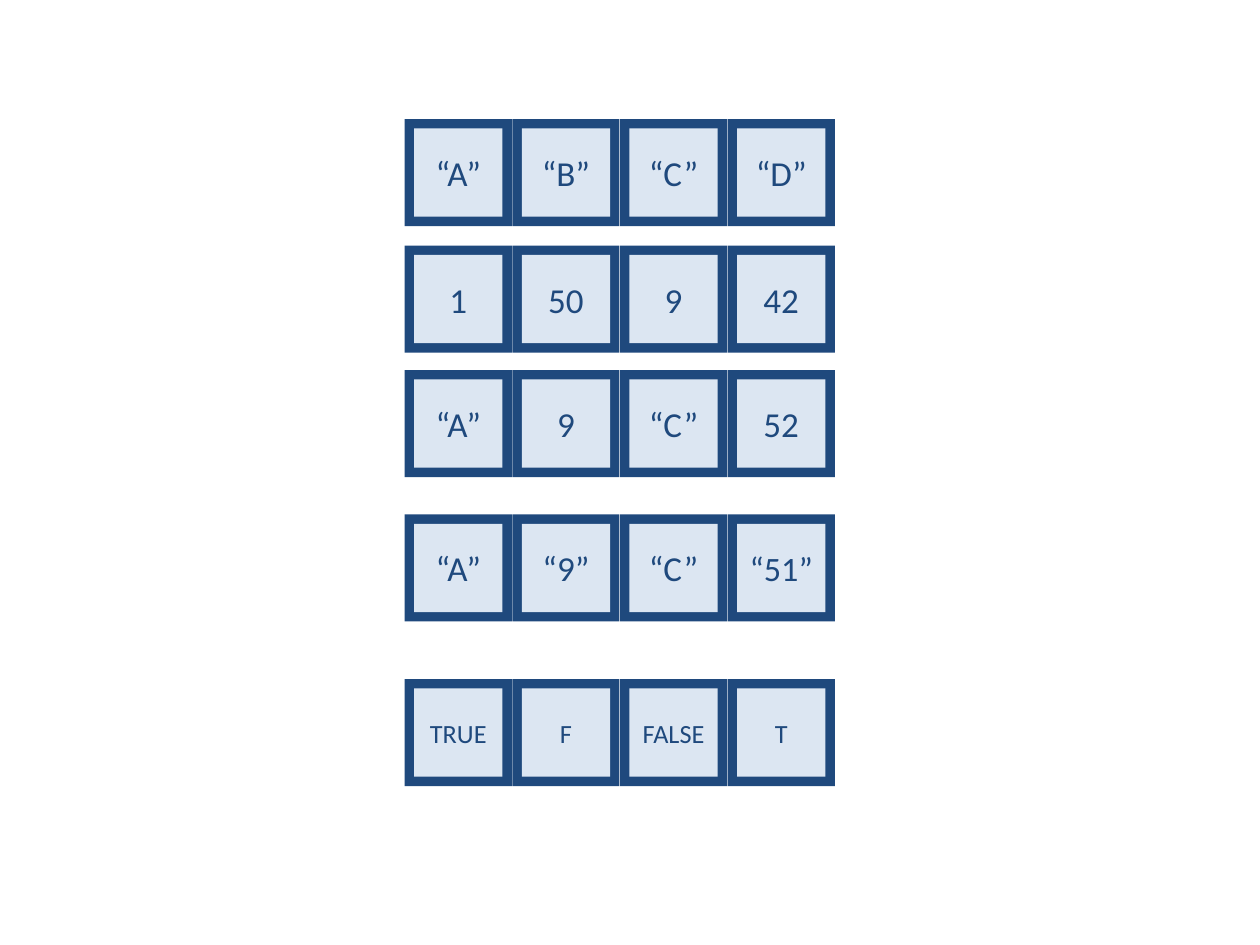
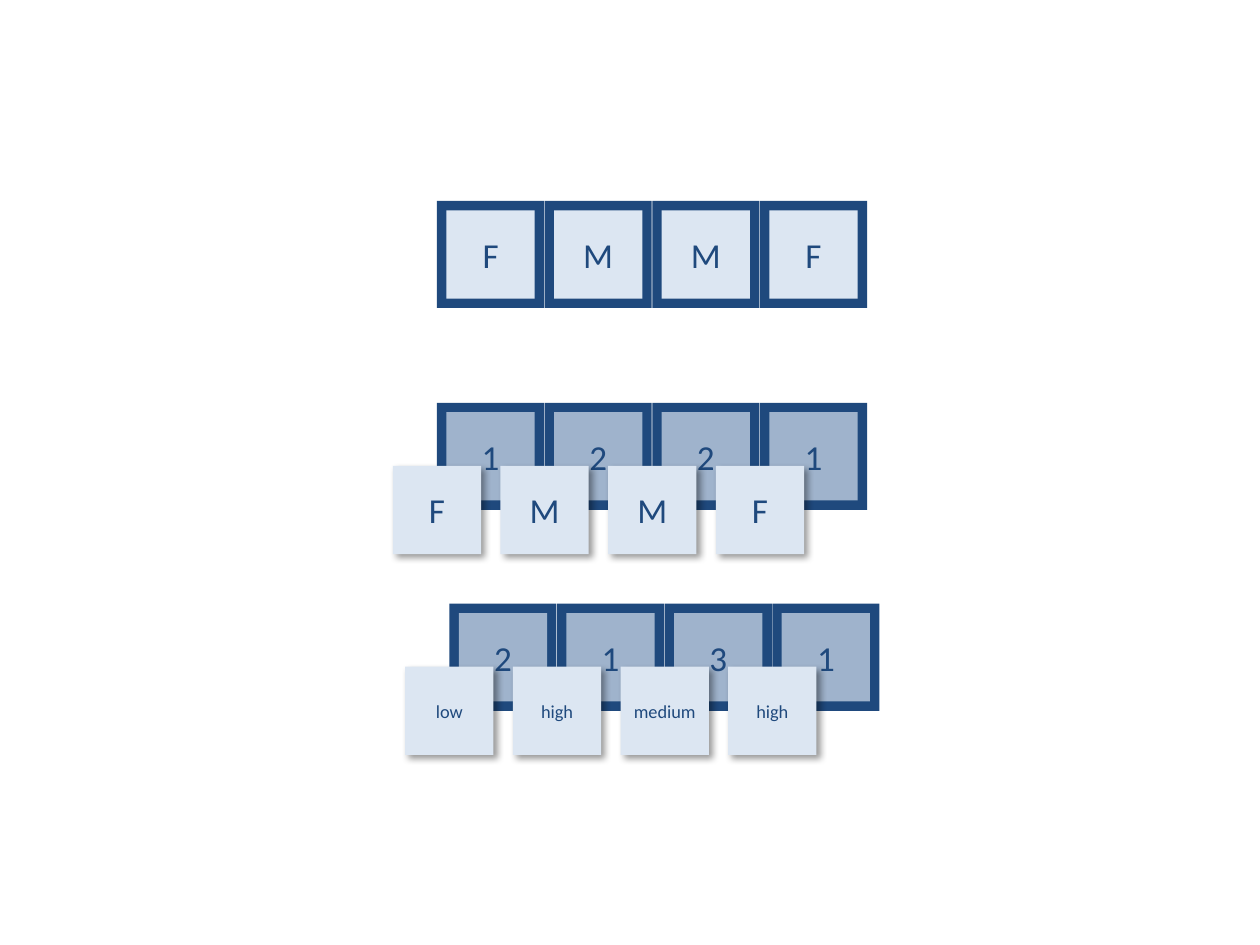
from dataclasses import dataclass

import pptx
import pptx.dml.color
import pptx.enum.shapes
import pptx.enum.text
import pptx.oxml
import pptx.oxml.ns
import pptx.util
from pptx.util import Cm


@dataclass(frozen=True)
class Theme:
    navy: str = "1F497D"
    pale: str = "DCE6F2"
    font: str = "Calibri"
    value_size: float = 20
    long_value_size: float = 19.5  # values of four or more characters
    logical_size: float = 15
    level_size: float = 10.5
    code_opacity: int = 68  # percent


THEME = Theme()

# Geometry of a vector, in centimetres
PITCH = 2.17
FRAME = 2.16
TILE = 1.78
INSET = (FRAME - TILE) / 2
LABEL_DX, LABEL_DY = -0.89, 1.27


def rgb(value):
    return pptx.dml.color.RGBColor.from_string(value)


def add_square(group, x, y, side, color):
    s = group.shapes.add_shape(pptx.enum.shapes.MSO_SHAPE.RECTANGLE,
                               Cm(x), Cm(y), Cm(side), Cm(side))
    s.shadow.inherit = False
    s.fill.solid()
    s.fill.fore_color.rgb = rgb(color)
    s.line.fill.background()
    return s


def add_tile(group, x, y, text, size):
    """A pale square with one centred value."""
    s = add_square(group, x, y, TILE, THEME.pale)
    tf = s.text_frame
    frame_format = {
        "margin_left": 0, "margin_right": 0, "margin_top": 0, "margin_bottom": 0,
        "word_wrap": False,
        "vertical_anchor": pptx.enum.text.MSO_ANCHOR.MIDDLE,
    }
    for name, value in frame_format.items():
        setattr(tf, name, value)
    p = tf.paragraphs[0]
    p.alignment = pptx.enum.text.PP_ALIGN.CENTER
    r = p.add_run()
    r.text = text
    for name, value in {"name": THEME.font, "size": pptx.util.Pt(size)}.items():
        setattr(r.font, name, value)
    r.font.color.rgb = rgb(THEME.navy)
    return s


def make_translucent(s, percent):
    color = s.fill._xPr.find(".//" + pptx.oxml.ns.qn("a:srgbClr"))
    color.append(pptx.oxml.parse_xml(
        f'<a:alpha {pptx.oxml.ns.nsdecls("a")} val="{percent * 1000}"/>'))


def add_drop_shadow(s):
    effects = s._element.spPr.find(pptx.oxml.ns.qn("a:effectLst"))
    effects.append(pptx.oxml.parse_xml(
        f'<a:outerShdw {pptx.oxml.ns.nsdecls("a")} blurRad="{pptx.util.Pt(4)}" '
        f'dist="{pptx.util.Pt(3)}" dir="2700000" algn="tl" rotWithShape="0">'
        '<a:srgbClr val="000000"><a:alpha val="40000"/></a:srgbClr></a:outerShdw>'))


def add_vector(slide, x, y, values, size=THEME.value_size, opacity=100):
    """A row of framed values."""
    group = slide.shapes.add_group_shape()
    for i, value in enumerate(values):
        left = x + i * PITCH
        add_square(group, left, y, FRAME, THEME.navy)
        is_long = size == THEME.value_size and len(value) > 3
        tile = add_tile(group, left + INSET, y + INSET, value,
                        THEME.long_value_size if is_long else size)
        if opacity < 100:
            make_translucent(tile, opacity)
    return group


def add_factor(slide, x, y, codes, labels, label_size=THEME.value_size):
    """A vector of integer codes with level labels laid over it."""
    group = add_vector(slide, x, y, codes, opacity=THEME.code_opacity)
    for i, label in enumerate(labels):
        add_drop_shadow(add_tile(group, x + LABEL_DX + i * PITCH, y + LABEL_DY,
                                 label, label_size))


def add_vectors_slide(prs):
    s = prs.slides.add_slide(prs.slide_layouts[6])
    x = 8.16
    rows = [
        (2.4, ["“A”", "“B”", "“C”", "“D”"]),
        (4.95, ["1", "50", "9", "42"]),
        (7.46, ["“A”", "9", "“C”", "52"]),
        (10.37, ["“A”", "“9”", "“C”", "“51”"]),
    ]
    for y, values in rows:
        add_vector(s, x, y, values)
    add_vector(s, x, 13.69, ["TRUE", "F", "FALSE", "T"], THEME.logical_size)


def add_factors_slide(prs):
    s = prs.slides.add_slide(prs.slide_layouts[6])
    x = 8.81
    sexes = ["F", "M", "M", "F"]
    add_vector(s, x, 4.05, sexes)
    add_factor(s, x, 8.12, ["1", "2", "2", "1"], sexes)
    add_factor(s, x + 0.25, 12.17, ["2", "1", "3", "1"],
               ["low", "high", "medium", "high"], THEME.level_size)


def main():
    prs = pptx.Presentation()
    prs.slide_width, prs.slide_height = Cm(25.4), Cm(19.05)
    add_vectors_slide(prs)
    add_factors_slide(prs)
    prs.save("out.pptx")


if __name__ == "__main__":
    main()
